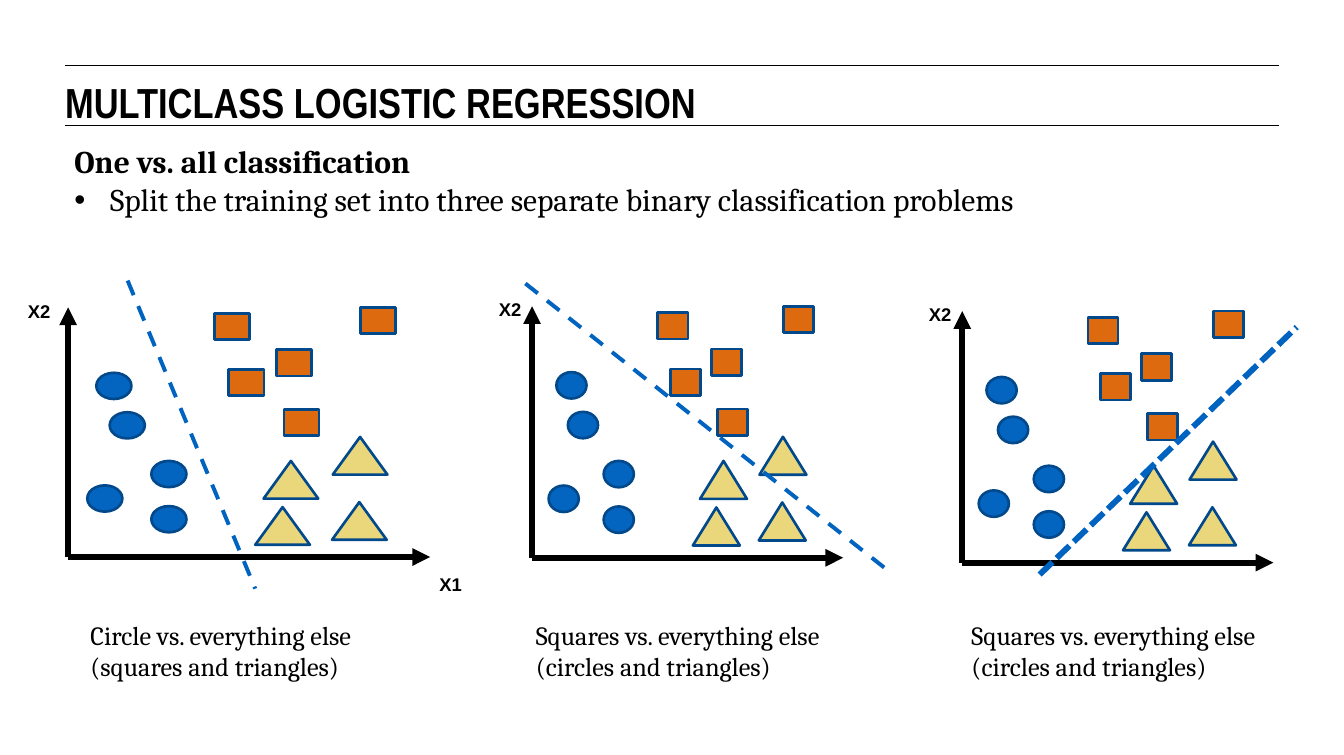
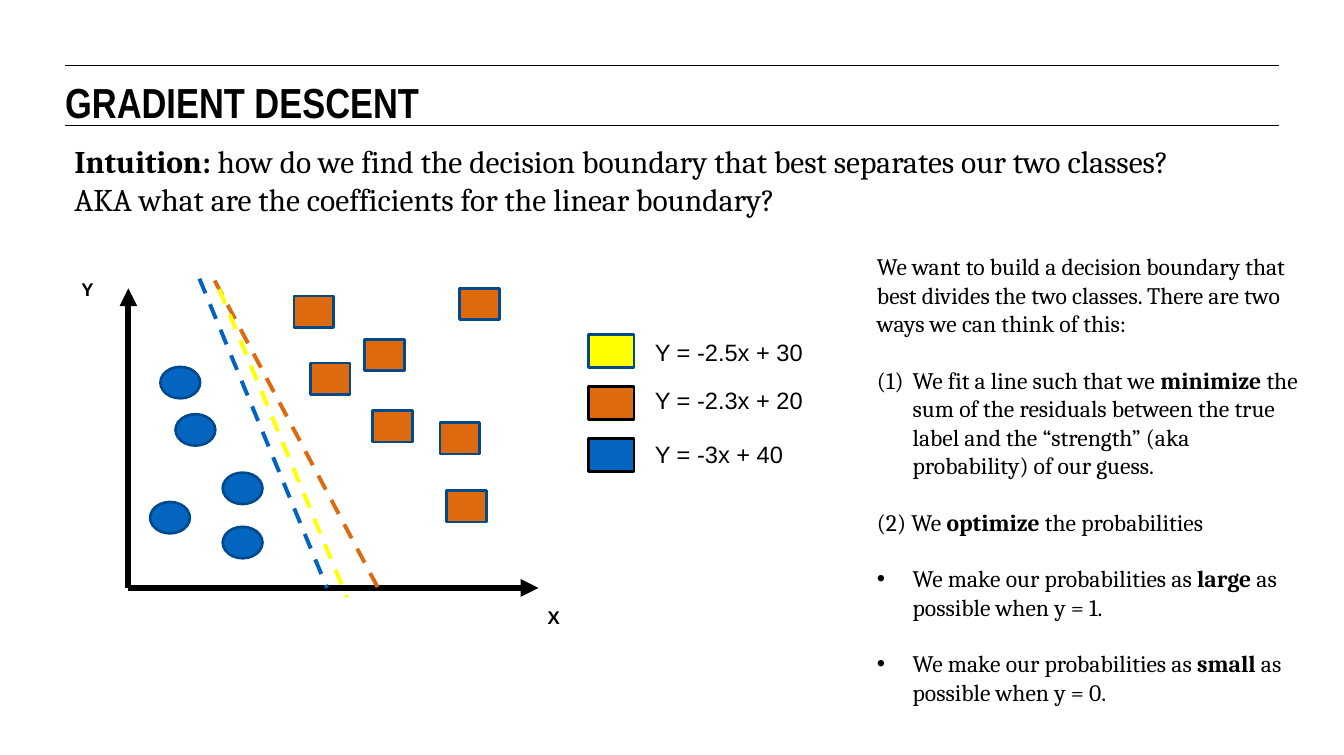
from pptx import Presentation
from pptx.dml.color import RGBColor
from pptx.enum.dml import MSO_LINE
from pptx.enum.shapes import MSO_CONNECTOR, MSO_SHAPE
from pptx.oxml.ns import qn
from pptx.util import Cm, Pt
from lxml.etree import SubElement

BLACK = "000000"
BLUE = "0365C0"
BOUNDARY_BLUE = "0063BF"
OUTLINE = "02498C"
ORANGE = "DE6A10"
SAND = "EAD77B"
YELLOW = "FFFF00"

HEADING_FONT = "Arial Narrow"
BODY_FONT = "Cambria"
LABEL_FONT = "Arial"
INDENT = 0.96

CIRCLES = [(7.8, 26.2), (11.5, 42), (23, 61.5), (5.3, 71.3), (23, 79.6)]
SQUARES = [(40.4, 2.5), (57.6, 17), (44.4, 24.9), (80.8, 0), (59.6, 40.8)]
EXTRA_SQUARES = [(76, 44.8), (77.6, 67.5)]
TRIANGLES = [(54, 61.5), (73.1, 51.9), (72.9, 78), (51.7, 80)]
MARKER_SIZE = (9.7, 10.5)
TRIANGLE_SIZE = (15.1, 15.1)
LABEL_SIZE = (17.2, 10.6)


def color(value):
    return RGBColor.from_string(value)


def add_bullet(para, bullet):
    properties = para._p.get_or_add_pPr()
    properties.set("marL", str(Cm(INDENT)))
    properties.set("indent", str(-Cm(INDENT)))
    if bullet == "number":
        SubElement(properties, qn("a:buAutoNum"), type="arabicParenBoth")
    else:
        SubElement(properties, qn("a:buFont"), typeface="Arial")
        SubElement(properties, qn("a:buChar"), char=bullet)


def add_text(shapes, frame, paragraphs, font=BODY_FONT, size=18, bold=False,
             inset=(0.25, 0.13), space_before=0):
    box = shapes.add_textbox(*map(Cm, frame))
    text = box.text_frame
    text.word_wrap = True
    text.margin_left = text.margin_right = Cm(inset[0])
    text.margin_top = text.margin_bottom = Cm(inset[1])
    for index, (content, bullet) in enumerate(paragraphs):
        para = text.add_paragraph() if index else text.paragraphs[0]
        if index and space_before:
            para.space_before = Pt(space_before)
        if bullet:
            add_bullet(para, bullet)
        for part, words in enumerate(content.split("**")):
            if words:
                span = para.add_run()
                span.text = words
                span.font.name = font
                span.font.size = Pt(size)
                span.font.bold = bold or part % 2 == 1
                span.font.color.rgb = color(BLACK)


def add_line(shapes, start, end, line=BLACK, width=0.75, dash=None, arrow=False):
    connector = shapes.add_connector(
        MSO_CONNECTOR.STRAIGHT, *map(Cm, (*start, *end)))
    connector.line.color.rgb = color(line)
    connector.line.width = Pt(width)
    if dash:
        connector.line.dash_style = dash
    if arrow:
        SubElement(connector.line._get_or_add_ln(), qn("a:tailEnd"), type="triangle")
    SubElement(connector._element.spPr, qn("a:effectLst"))


def add_marker(shapes, kind, frame, fill, line=OUTLINE):
    marker = shapes.add_shape(kind, *map(Cm, frame))
    marker.shadow.inherit = False
    marker.fill.solid()
    marker.fill.fore_color.rgb = color(fill)
    marker.line.color.rgb = color(line)
    marker.line.width = Pt(2)


def add_plot(page, area, squares=SQUARES, triangles=(), x_label=None, y_label="X2"):
    left, top, width, height = area
    shapes = page.shapes.add_group_shape().shapes

    def place(position, size):
        return (left + width * position[0] / 100, top + height * position[1] / 100,
                width * size[0] / 100, height * size[1] / 100)

    origin = (left, top + height)
    for end in ((left, top), (left + width, top + height)):
        add_line(shapes, origin, end, width=4.5, arrow=True)
    for kind, positions, size, fill in (
            (MSO_SHAPE.OVAL, CIRCLES, MARKER_SIZE, BLUE),
            (MSO_SHAPE.RECTANGLE, squares, MARKER_SIZE, ORANGE),
            (MSO_SHAPE.ISOSCELES_TRIANGLE, triangles, TRIANGLE_SIZE, SAND)):
        for position in positions:
            add_marker(shapes, kind, place(position, size), fill)
    for label, position in ((y_label, (-13.7, -5)), (x_label, (100, 104.5))):
        if label:
            add_text(shapes, place(position, LABEL_SIZE), [(label, None)],
                     font=LABEL_FONT, size=14, bold=True)


def add_page(deck, title):
    page = deck.slides.add_slide(deck.slide_layouts[6])
    for height in (1.75, 3.38):
        add_line(page.shapes, (1.75, height), (34.37, height))
    add_text(page.shapes, (1.75, 2.06, 34.37, 1.19), [(title, None)],
             font=HEADING_FONT, size=32, bold=True, inset=(0, 0))
    return page


def add_lead(page, paragraphs, height):
    add_text(page.shapes, (1.75, 3.58, 33.66, height), paragraphs,
             size=24, inset=(0.25, 0.25))


def build_multiclass(deck):
    page = add_page(deck, "MULTICLASS LOGISTIC REGRESSION")
    add_lead(page, [
        ("**One vs. all classification**", None),
        ("Split the training set into three separate binary classification problems", "•"),
    ], 2.44)
    circle_caption = "Circle vs. everything else (squares and triangles)"
    square_caption = "Squares vs. everything else (circles and triangles)"
    for area, x_label, start, end, width, dash, caption_left, caption in (
            ((1.83, 8.26, 9.73, 6.71), "X1", (3.43, 7.54), (6.86, 15.82),
             3, MSO_LINE.DASH, 2.18, circle_caption),
            ((14.3, 8.23, 8.36, 6.76), None, (14.12, 7.62), (24, 15.44),
             3, MSO_LINE.DASH, 14.15, square_caption),
            ((25.86, 8.36, 8.36, 6.76), None, (27.94, 15.44), (34.85, 8.79),
             4.5, MSO_LINE.SQUARE_DOT, 25.86, square_caption)):
        add_plot(page, area, triangles=TRIANGLES, x_label=x_label)
        add_line(page.shapes, start, end, BOUNDARY_BLUE, width, dash)
        add_text(page.shapes, (caption_left, 16.5, 9.86, 1.96),
                 [(caption, None)], size=20)


def build_gradient_descent(deck):
    page = add_page(deck, "GRADIENT DESCENT")
    add_lead(page, [
        ("**Intuition: **how do we find the decision boundary that best separates "
         "our two classes?", None),
        ("AKA what are the coefficients for the linear boundary?", None),
    ], 3.73)
    add_plot(page, (3.45, 7.75, 11.02, 8.05), squares=SQUARES + EXTRA_SQUARES,
             x_label="X", y_label="Y")
    for start, end, line in (
            ((5.36, 7.49), (8.79, 15.8), BOUNDARY_BLUE),
            ((5.77, 7.54), (10.16, 15.8), ORANGE),
            ((5.89, 7.77), (9.32, 16.05), YELLOW)):
        add_line(page.shapes, start, end, line, 3, MSO_LINE.DASH)
    for index, (equation, label_top, fill, line) in enumerate((
            ("Y = -2.5x + 30", 8.94, YELLOW, OUTLINE),
            ("Y = -2.3x + 20", 10.24, ORANGE, BLACK),
            ("Y = -3x + 40", 11.68, BLUE, BLACK))):
        add_marker(page.shapes, MSO_SHAPE.RECTANGLE,
                   (15.82, 8.99 + 1.4 * index, 1.22, 0.89), fill, line)
        add_text(page.shapes, (17.35, label_top, 7.26, 1.02),
                 [(equation, None)], font=LABEL_FONT)
    add_text(page.shapes, (23.32, 6.65, 12.12, 12.57), [
        ("We want to build a decision boundary that best divides the two classes. "
         "There are two ways we can think of this:", None),
        ("We fit a line such that we **minimize** the sum of the residuals between "
         "the true label and the “strength” (aka probability) of our guess.", "number"),
        ("(2) We **optimize** the probabilities", None),
        ("We make our probabilities as **large** as possible when y = 1.", "•"),
        ("We make our probabilities as **small** as possible when y = 0.", "•"),
    ], space_before=21.6)


def main():
    deck = Presentation()
    deck.slide_width, deck.slide_height = Cm(36.12), Cm(20.29)
    build_multiclass(deck)
    build_gradient_descent(deck)
    deck.save("out.pptx")


if __name__ == "__main__":
    main()
